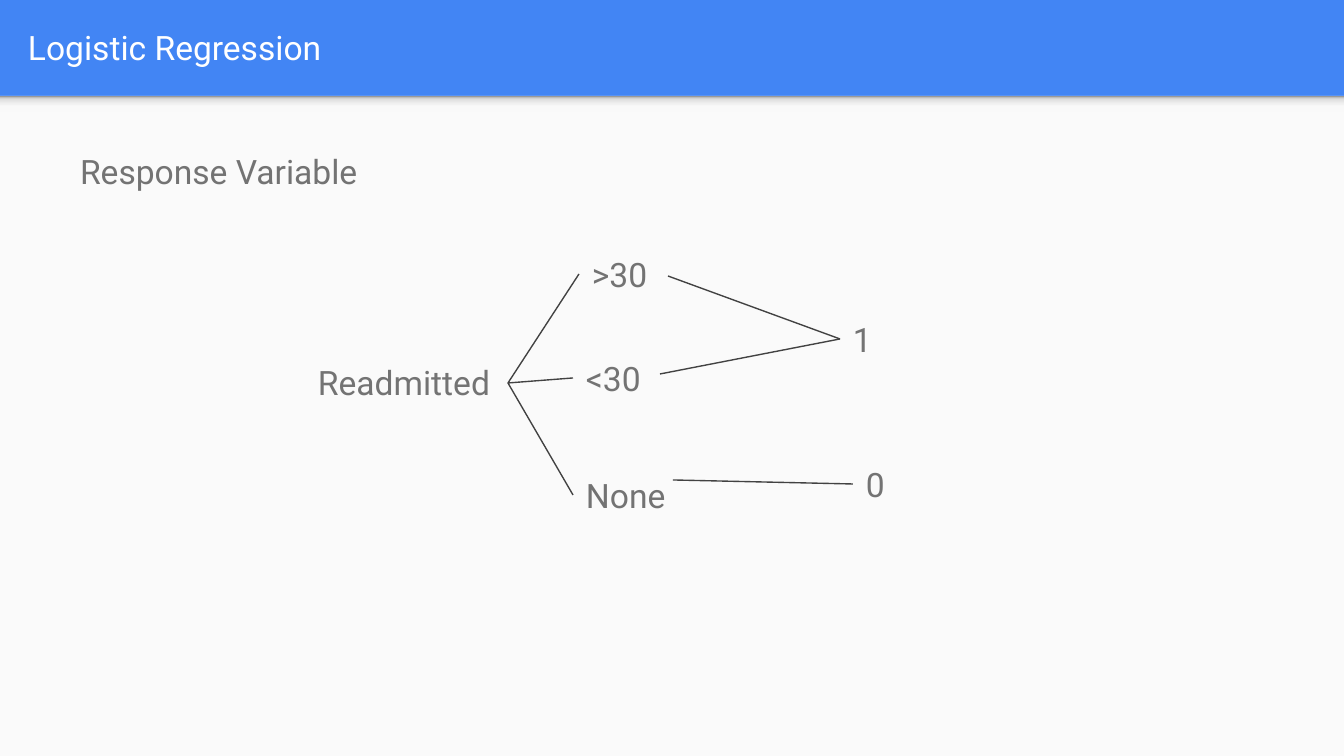
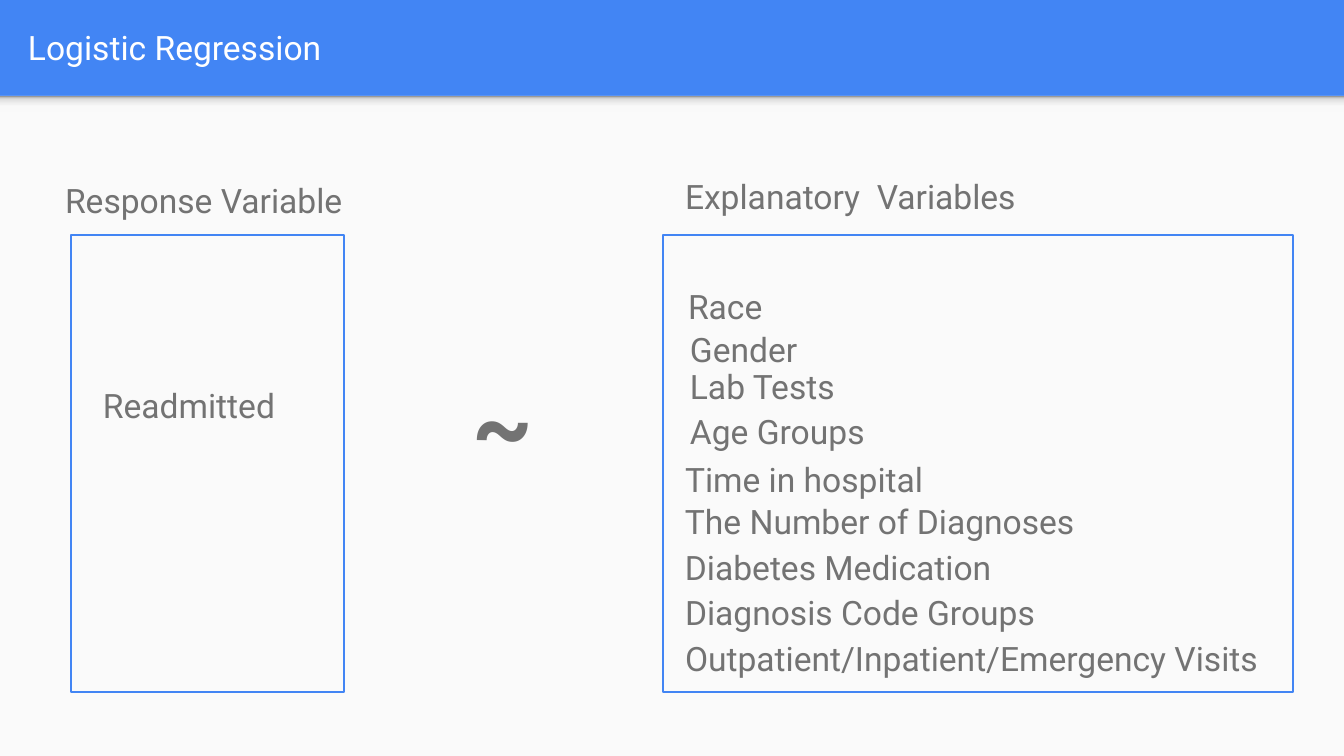
from lxml import etree
from pptx import Presentation
from pptx.dml.color import RGBColor
from pptx.enum import shapes, text
from pptx.oxml.ns import qn
from pptx.util import Pt

PX = 914400 / 134.4  # EMU in one px
W, H = 1344, 756
INSET = 13
BAR_H = 96
FONT = "Roboto"
BLUE = RGBColor(0x42, 0x85, 0xF4)
PAPER = RGBColor(0xFA, 0xFA, 0xFA)
GREY = RGBColor(0x73, 0x73, 0x73)
DARK = RGBColor(0x42, 0x42, 0x42)
WHITE = RGBColor(0xFF, 0xFF, 0xFF)
SHADE_STOPS = [(0, "F9F9F9"), (36, "F9F9F9"), (80, "DEDEDE"), (100, "999999")]


def emu(*lengths):
    return [round(n * PX) for n in lengths]


def write(sp, words, color=GREY, size=18, bold=False, anchor=text.MSO_ANCHOR.TOP):
    """Put one left-aligned paragraph into a shape and return the paragraph."""
    tf = sp.text_frame
    tf.text = words
    tf.word_wrap = True
    tf.auto_size = text.MSO_AUTO_SIZE.NONE
    tf.vertical_anchor = anchor
    tf.margin_left, tf.margin_top, tf.margin_right, tf.margin_bottom = emu(*[INSET] * 4)
    p = tf.paragraphs[0]
    p.alignment = text.PP_ALIGN.LEFT
    font = p.runs[0].font
    font.name, font.size, font.bold = FONT, Pt(size), bold
    font.color.rgb = color
    return p


prs = Presentation()
prs.slide_width, prs.slide_height = emu(W, H)

# Shared look: blue background, pale panel, soft shade under the title bar
layout = prs.slide_layouts[5]
layout.background.fill.solid()
layout.background.fill.fore_color.rgb = BLUE
for ph in list(layout.placeholders):
    if ph.placeholder_format.type != shapes.PP_PLACEHOLDER.TITLE:
        ph.element.getparent().remove(ph.element)

slides = []
for _ in range(2):
    s = prs.slides.add_slide(layout)
    title = s.shapes.title
    title.left, title.top, title.width, title.height = emu(15, 3, 1297, 89)
    write(title, "Logistic Regression", WHITE, anchor=text.MSO_ANCHOR.MIDDLE)
    slides.append(s)
tree_slide, model_slide = slides

panel = tree_slide.shapes.add_shape(
    shapes.MSO_SHAPE.RECTANGLE, *emu(0, BAR_H, W, H - BAR_H))
panel.fill.solid()
panel.fill.fore_color.rgb = PAPER
shade = tree_slide.shapes.add_shape(shapes.MSO_SHAPE.RECTANGLE, *emu(0, BAR_H, W, 16))
shade.fill.gradient()
shade.fill.gradient_angle = 90
stops = shade.element.spPr.find(".//" + qn("a:gsLst"))
for stop in list(stops):
    stops.remove(stop)
for percent, color in SHADE_STOPS:
    stop = etree.SubElement(stops, qn("a:gs"), pos=str(percent * 1000))
    etree.SubElement(stop, qn("a:srgbClr"), val=color)
for i, sp in enumerate([panel, shade]):
    sp.shadow.inherit = False
    sp.line.fill.background()
    layout.shapes.element.insert(2 + i, sp.element)  # moves it behind the title

# Slide 1: how the readmission classes map to the response
NODE_W, NODE_H = 203, 78
nodes = {
    "Readmitted": (305, 343),
    ">30": (579, 235),
    "<30": (573, 339),
    "None": (573, 456),
    "1": (840, 300),
    "0": (853, 445),
}
labels = [(words, x, y, NODE_W) for words, (x, y) in nodes.items()]
labels.append(("Response Variable", 67, 132, 595))
for words, x, y, w in labels:
    p = write(tree_slide.shapes.add_textbox(*emu(x, y, w, NODE_H)), words)
    p.line_spacing = 1.15
    p.space_after = Pt(16)

fork = (nodes["Readmitted"][0] + NODE_W, 383)
links = [
    (fork, ">30"), (fork, "<30"), (fork, "None"),
    ((668, 276), "1"), ((660, 374), "1"), ((673, 480), "0"),
]
for start, target in links:
    x, y = nodes[target]
    line = tree_slide.shapes.add_connector(
        shapes.MSO_CONNECTOR.STRAIGHT, *emu(*start, x, y + NODE_H // 2))
    line.line.color.rgb = DARK
    line.line.width = Pt(0.75)
    etree.SubElement(line.element.spPr, qn("a:effectLst"))

# Slide 2: response against explanatory variables
LABEL_H = 67
model_labels = [
    ("Response Variable", 52, 167, 310),
    ("Readmitted", 90, 372, 203),
    ("Explanatory  Variables", 672, 163, 370),
    ("Race", 675, 273, 395),
    ("Gender", 677, 316, 395),
    ("Lab Tests", 677, 353, 601),
    ("Age Groups", 677, 398, 203),
    ("Time in hospital", 672, 446, 395),
    ("The Number of Diagnoses", 672, 488, 601),
    ("Diabetes Medication", 672, 534, 601),
    ("Diagnosis Code Groups", 672, 579, 395),
    ("Outpatient/Inpatient/Emergency Visits", 672, 625, 602),
]
for words, x, y, w in model_labels:
    write(model_slide.shapes.add_textbox(*emu(x, y, w, LABEL_H)), words)

for x, w in [(71, 273), (663, 630)]:
    frame = model_slide.shapes.add_shape(
        shapes.MSO_SHAPE.RECTANGLE, *emu(x, 235, w, 457))
    frame.shadow.inherit = False
    frame.fill.background()
    frame.line.color.rgb = BLUE
    frame.line.width = Pt(0.75)

tilde = model_slide.shapes.add_textbox(*emu(460, 353, 136, 140))
write(tilde, "~", size=50, bold=True)

prs.save("out.pptx")
